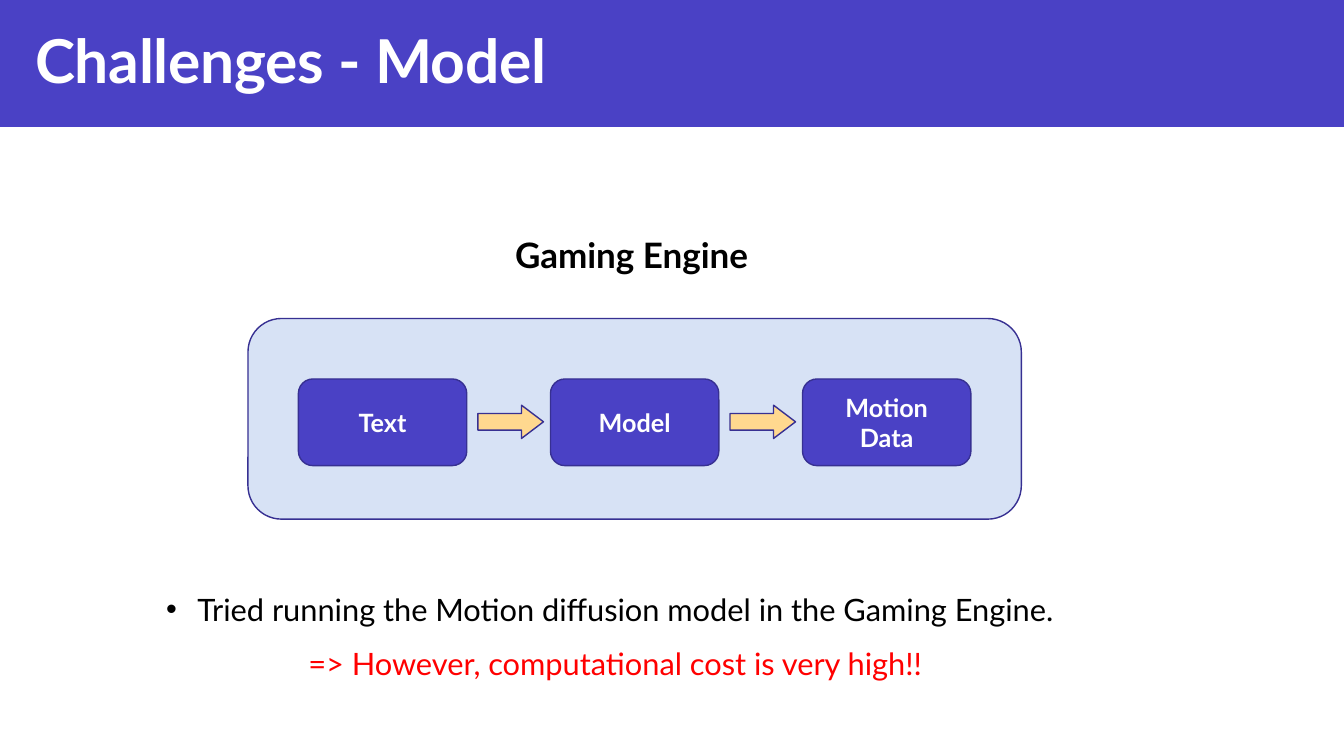
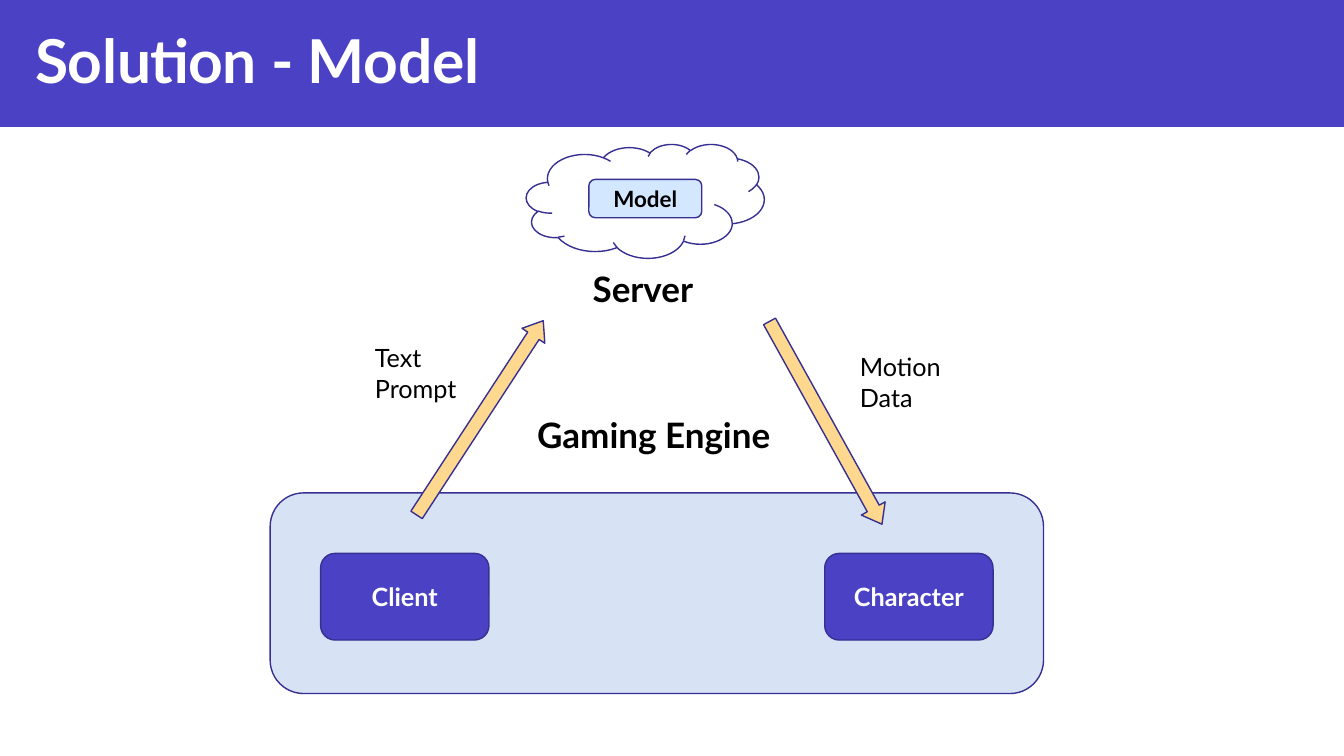
from pptx import Presentation
from pptx.dml.color import RGBColor
from pptx.enum.shapes import MSO_SHAPE
from pptx.enum.text import MSO_ANCHOR, PP_ALIGN
from pptx.oxml.ns import qn
from pptx.util import Inches, Pt
from lxml.etree import SubElement

COLORS = {
    "brand": "4A41C5",
    "line": "373092",
    "panel": "D7E2F5",
    "arrow": "FFD88F",
    "model": "D3E8FF",
    "white": "FFFFFF",
    "black": "000000",
    "alert": "FF0000",
}
FONT = "Lato"
FORMATS = {
    "title": {"size": Pt(43.2), "bold": True},
    "heading": {"size": Pt(25), "bold": True},
    "box": {"size": Pt(18), "bold": True},
    "small_box": {"size": Pt(16), "bold": True},
    "label": {"size": Pt(18), "bold": False},
    "body": {"size": Pt(22), "bold": False},
}
SLIDE_W, SLIDE_H = 13.33, 7.5
PANEL_W, PANEL_H = 7.67, 1.99
BOX_W, BOX_H = 1.67, 0.86
BOX_STEP = 2.5
PAD_X, PAD_Y = 0.5, 0.6


def rgb(name):
    return RGBColor.from_string(COLORS[name])


def write(p, text, style, color):
    r = p.add_run()
    r.text = text
    r.font.name = FONT
    r.font.color.rgb = rgb(color)
    for key, value in FORMATS[style].items():
        setattr(r.font, key, value)
    return r


def add_text(s, text, at, style, color="black", anchor=MSO_ANCHOR.TOP):
    tf = s.shapes.add_textbox(*map(Inches, at)).text_frame
    tf.word_wrap = True
    tf.vertical_anchor = anchor
    p = tf.paragraphs[0]
    return p, write(p, text, style, color)


def add_bullet(s, text, at):
    p, r = add_text(s, text, at, "body")
    pPr = p._p.get_or_add_pPr()
    indent = Inches(0.31)
    pPr.set("marL", str(indent))
    pPr.set("indent", str(-indent))
    SubElement(pPr, qn("a:buFont")).set("typeface", "Arial")
    SubElement(pPr, qn("a:buChar")).set("char", "•")


def add_shape(s, kind, at, fill, line="line"):
    sp = s.shapes.add_shape(kind, *map(Inches, at))
    sp.shadow.inherit = False
    sp.fill.solid()
    sp.fill.fore_color.rgb = rgb(fill)
    if line:
        sp.line.color.rgb = rgb(line)
        sp.line.width = Pt(1)
    else:
        sp.line.fill.background()
    return sp


def add_box(s, text, at, fill="brand", style="box", color="white"):
    sp = add_shape(s, MSO_SHAPE.ROUNDED_RECTANGLE, at, fill)
    tf = sp.text_frame
    tf.word_wrap = True
    tf.vertical_anchor = MSO_ANCHOR.MIDDLE
    p = tf.paragraphs[0]
    p.alignment = PP_ALIGN.CENTER
    write(p, text, style, color)


def add_arrow(s, at, rotation=0):
    sp = add_shape(s, MSO_SHAPE.RIGHT_ARROW, at, "arrow")
    sp.adjustments[1] = 0.66
    sp.rotation = rotation


def add_engine(s, left, top, heading_top, boxes):
    add_shape(s, MSO_SHAPE.ROUNDED_RECTANGLE, (left, top, PANEL_W, PANEL_H), "panel")
    add_text(s, "Gaming Engine", (left + 2.55, heading_top, 3.86, 0.52), "heading")
    for slot, text in boxes.items():
        x = left + PAD_X + slot * BOX_STEP
        add_box(s, text, (x, top + PAD_Y, BOX_W, BOX_H))


def add_slide(prs, title):
    s = prs.slides.add_slide(prs.slide_layouts[6])
    add_shape(s, MSO_SHAPE.RECTANGLE, (0, 0, SLIDE_W, 1.26), "brand", None)
    p, r = add_text(s, title, (0.25, 0.17, 10.3, 0.84), "title", "white",
                    MSO_ANCHOR.MIDDLE)
    r._r.get_or_add_rPr().set("spc", "-20")
    return s


def build_challenges(prs):
    s = add_slide(prs, "Challenges - Model")
    left = 2.46
    add_engine(s, left, 3.16, 2.27, {0: "Text", 1: "Model", 2: "Motion Data"})
    for gap in range(2):
        x = left + PAD_X + BOX_W + 0.11 + gap * BOX_STEP
        add_arrow(s, (x, 4.02, 0.65, 0.33))
    add_bullet(s, "Tried running the Motion diffusion model in the Gaming Engine.",
               (1.55, 5.81, 9.27, 0.77))
    add_text(s, "=> However, computational cost is very high!!",
             (2.96, 6.35, 9.1, 0.47), "body", "alert")


def build_solution(prs):
    s = add_slide(prs, "Solution - Model")
    add_shape(s, MSO_SHAPE.CLOUD, (5.22, 1.43, 2.36, 1.13), "white")
    add_box(s, "Model", (5.84, 1.78, 1.12, 0.38), "model", "small_box", "black")
    add_text(s, "Server", (5.78, 2.6, 1.88, 0.52), "heading")
    add_engine(s, 2.68, 4.89, 4.05, {0: "Client", 2: "Character"})
    for text, x, y in (("Text Prompt", 3.62, 3.35), ("Motion Data", 8.43, 3.44)):
        add_text(s, text, (x, y, 1.1, 0.71), "label")
    for x, y, rotation in ((3.61, 4.01, 303.1), (7.04, 4.06, 61)):
        add_arrow(s, (x, y, 2.3, 0.27), rotation)


def main():
    prs = Presentation()
    prs.slide_width = Inches(SLIDE_W)
    prs.slide_height = Inches(SLIDE_H)
    build_challenges(prs)
    build_solution(prs)
    prs.save("out.pptx")


if __name__ == "__main__":
    main()
